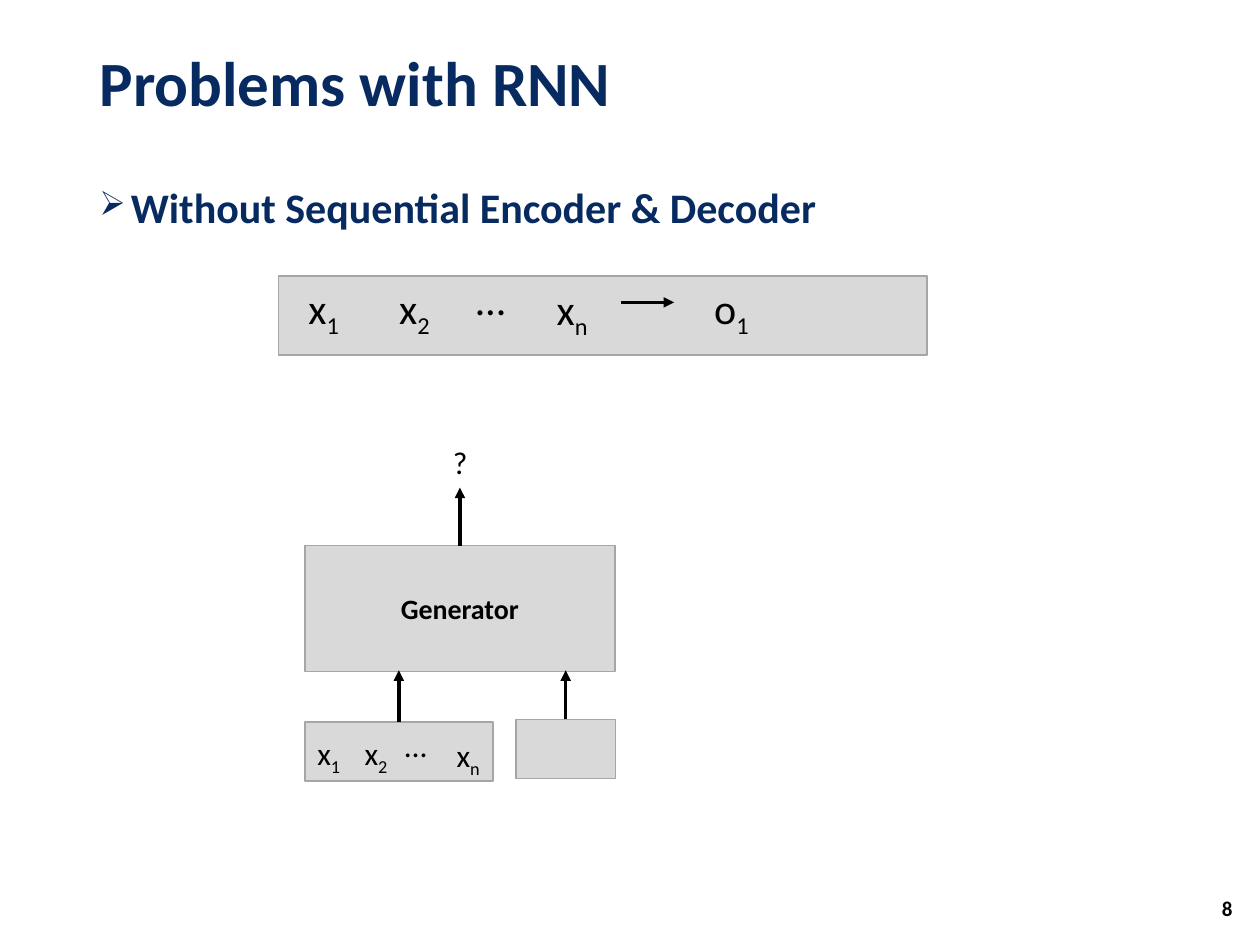
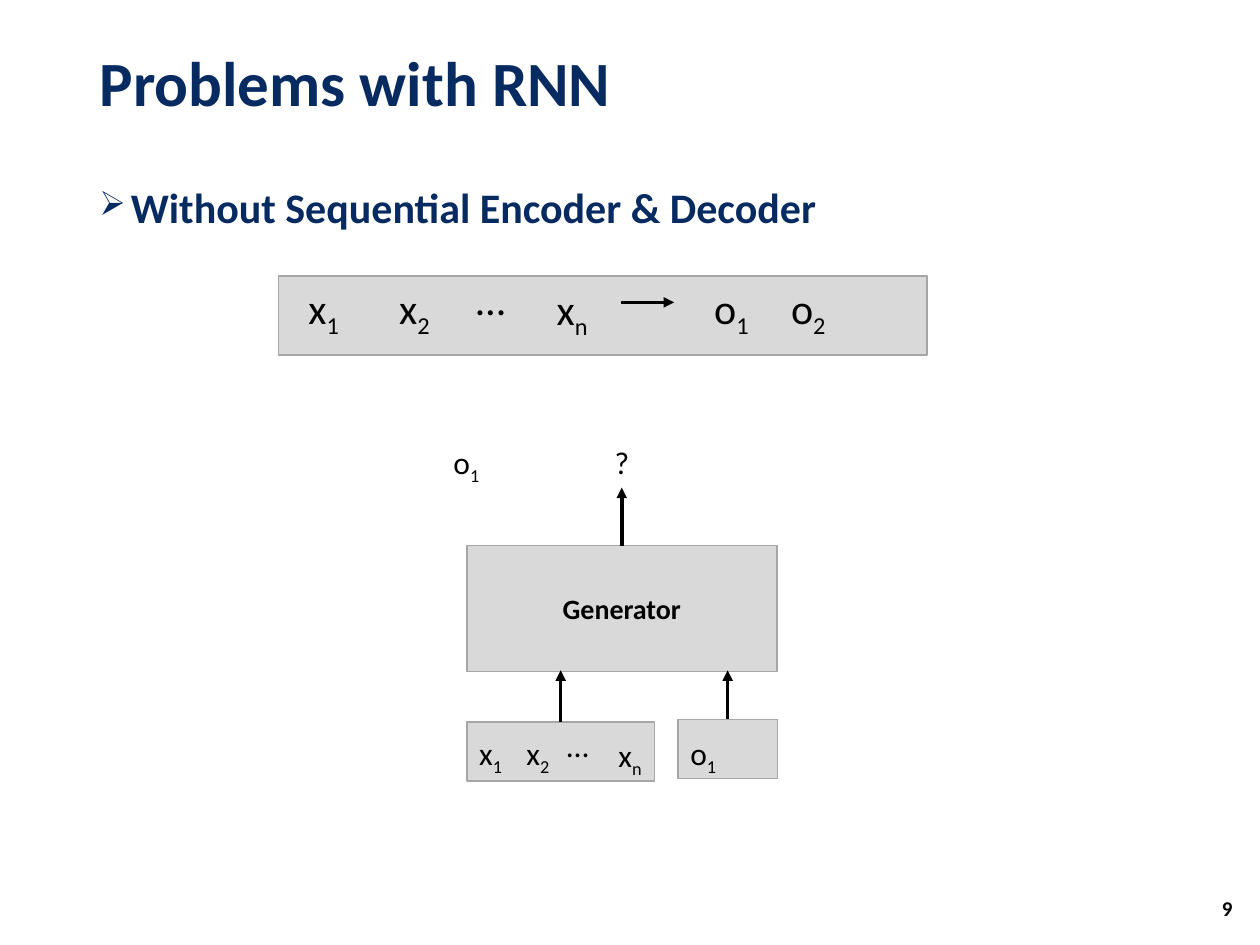
from lxml import etree
from pptx import Presentation
from pptx import util as u
from pptx.dml.color import RGBColor
from pptx.enum import shapes, text
from pptx.oxml.ns import qn

COLOURS = {"navy": "072B61", "ink": "000000", "panel": "D9D9D9", "edge": "A6A6A6"}
FONT = "Calibri"
COLUMNS, ROWS = 100, 75
CELL = u.Inches(0.1)
TITLE_ONLY = 5
SEQUENCE_SIZE, DIAGRAM_SIZE = 24, 18


def grid(*cells):
    """Turn grid columns and rows into slide lengths."""
    return [round(cell * CELL) for cell in cells]


def colour(name):
    """Look up a named colour."""
    return RGBColor.from_string(COLOURS[name])


def write(frame, content, size, ink="ink", bold=False, align=text.PP_ALIGN.LEFT,
          anchor=text.MSO_ANCHOR.TOP, spacing=None):
    """Write one paragraph, where an underscore starts a subscript."""
    frame.vertical_anchor = anchor
    para = frame.paragraphs[0]
    para.alignment = align
    para.line_spacing = spacing
    for index, part in enumerate(content.split("_")):
        span = para.add_run()
        span.text = part
        span.font.name = FONT
        span.font.size = u.Pt(size)
        span.font.bold = bold
        span.font.color.rgb = colour(ink)
        if index:
            span.font._element.set("baseline", "-25000")
    return para


def add_bullet(para, symbol, indent):
    """Give a paragraph a hanging bullet at 80 percent of its text size."""
    properties = para._p.get_or_add_pPr()
    properties.set("marL", str(indent))
    properties.set("indent", str(-indent))
    etree.SubElement(properties, qn("a:buSzPct"), val="80000")
    etree.SubElement(properties, qn("a:buChar"), char=symbol)


def add_text(page, place, content, size, **style):
    """Add a wrapping text box."""
    box = page.shapes.add_textbox(*grid(*place))
    box.text_frame.word_wrap = True
    return write(box.text_frame, content, size, **style)


def add_symbol(page, left, top, content, size):
    """Add a symbol in a box that hugs it."""
    widths = {"…": (4.4, 4.5), "x": (4.6, 4.1), "o": (4.9, 4.2), "?": (4, 3.2)}
    large = size == SEQUENCE_SIZE
    width = widths[content[0]][0 if large else 1]
    box = page.shapes.add_textbox(*grid(left, top, width, 5 if large else 4))
    box.text_frame.word_wrap = False
    box.text_frame.auto_size = text.MSO_AUTO_SIZE.SHAPE_TO_FIT_TEXT
    write(box.text_frame, content, size)


def add_panel(page, *place):
    """Add a grey rectangle."""
    panel = page.shapes.add_shape(shapes.MSO_SHAPE.RECTANGLE, *grid(*place))
    panel.shadow.inherit = False
    panel.fill.solid()
    panel.fill.fore_color.rgb = colour("panel")
    panel.line.color.rgb = colour("edge")
    panel.line.width = u.Pt(1)
    return panel


def add_arrow(page, start, end, source=None):
    """Add a black arrow, joined to the top of its source if there is one."""
    arrow = page.shapes.add_connector(
        shapes.MSO_CONNECTOR.STRAIGHT, *grid(*start, *end))
    if source is not None:
        arrow.begin_connect(source, 0)
    arrow.line.color.rgb = colour("ink")
    arrow.line.width = u.Pt(2)
    etree.SubElement(arrow.line._get_or_add_ln(), qn("a:tailEnd"), type="triangle")
    etree.SubElement(arrow._element.spPr, qn("a:effectLst"))


def add_rising_arrow(page, source, centre, bottom, top):
    """Add an upright arrow from the top of a panel."""
    add_arrow(page, (centre, bottom), (centre, top), source)


def add_page(deck, title, topic, number):
    """Add a page with its title, topic line and page number."""
    page = deck.slides.add_slide(deck.slide_layouts[TITLE_ONLY])
    heading = page.shapes.title
    heading.left, heading.top, heading.width, heading.height = grid(6.9, 1.8, 86.2, 10.1)
    write(heading.text_frame, title, 36, ink="navy", bold=True,
          anchor=text.MSO_ANCHOR.MIDDLE, spacing=0.9)
    para = add_text(page, (6.9, 14.4, 86.2, 5), topic, 24,
                    ink="navy", bold=True, spacing=0.9)
    add_bullet(para, "➢", u.Inches(0.25))
    add_text(page, (93.6, 70.1, 5.2, 4), str(number), 12, bold=True,
             align=text.PP_ALIGN.RIGHT, anchor=text.MSO_ANCHOR.MIDDLE)
    return page


def add_sequence(page, outputs):
    """Add the band that shows inputs leading to the outputs so far."""
    add_panel(page, 22.1, 21.9, 51.5, 6.3)
    for left, top, symbol in ((23.5, 21.9, "x_1"), (30.7, 21.9, "x_2"),
                              (36.8, 21.2, "…"), (43.2, 22, "x_n")):
        add_symbol(page, left, top, symbol, SEQUENCE_SIZE)
    add_arrow(page, (49.3, 24), (53.5, 24))
    for index, symbol in enumerate(outputs):
        add_symbol(page, 55.7 + 6.1 * index, 21.9, symbol, SEQUENCE_SIZE)


def add_generator(page, left, outputs):
    """Add the generator with its inputs, earlier outputs and next output."""
    generator = add_panel(page, left, 43.3, 24.6, 10)
    write(generator.text_frame, "Generator", 16, bold=True,
          align=text.PP_ALIGN.CENTER, anchor=text.MSO_ANCHOR.MIDDLE)
    add_rising_arrow(page, generator, left + 12.3, 43.3, 38.7)
    add_symbol(page, left + 10.75, 34.7, "?", DIAGRAM_SIZE)

    inputs = add_panel(page, left, 57.3, 14.9, 4.7)
    for offset, top, symbol in ((0, 57.8, "x_1"), (3.75, 57.8, "x_2"),
                                (6.95, 57.1, "…"), (11.05, 57.9, "x_n")):
        add_symbol(page, left + offset, top, symbol, DIAGRAM_SIZE)
    add_rising_arrow(page, inputs, left + 7.45, 57.3, 53.2)

    history = add_panel(page, left + 16.75, 57.1, 7.9, 4.7)
    add_rising_arrow(page, history, left + 20.7, 57.1, 53.2)
    for symbol in outputs:
        add_symbol(page, 35, 34.7, symbol, DIAGRAM_SIZE)
        add_symbol(page, left + 16.75, 57.8, symbol, DIAGRAM_SIZE)


def main():
    """Build one page for each generation step."""
    deck = Presentation()
    deck.slide_width, deck.slide_height = grid(COLUMNS, ROWS)
    outputs = ["o_1", "o_2"]
    for step, left in enumerate((24.2, 37.05)):
        page = add_page(deck, "Problems with RNN",
                        "Without Sequential Encoder & Decoder", 8 + step)
        add_sequence(page, outputs[:step + 1])
        add_generator(page, left, outputs[:step])
    deck.save("out.pptx")


if __name__ == "__main__":
    main()
